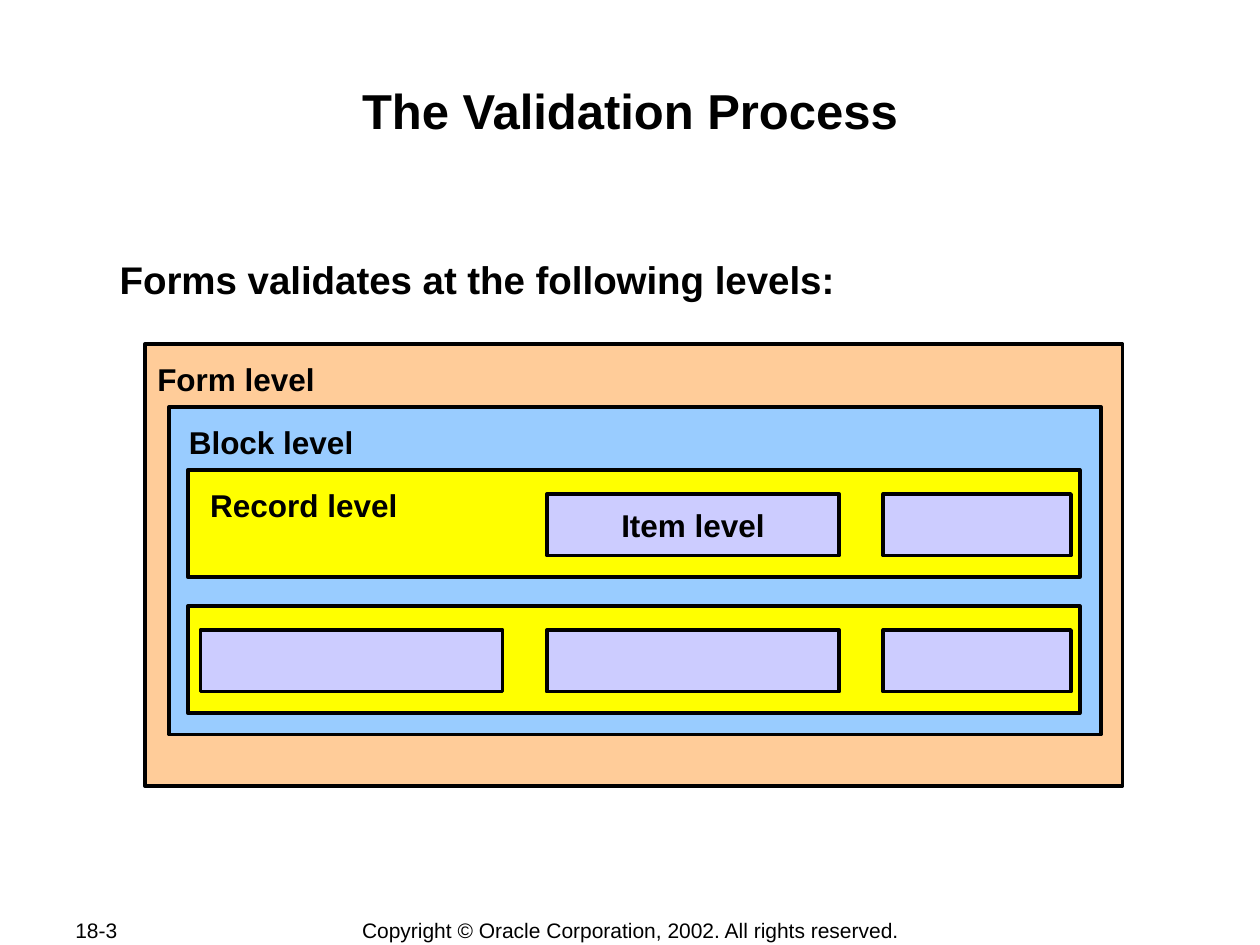
from pptx import Presentation
from pptx.dml.color import RGBColor
from pptx.enum.shapes import MSO_SHAPE as Shape
from pptx.enum.text import MSO_ANCHOR as Anchor, PP_ALIGN as Align
from pptx.util import Inches, Pt

BLACK = RGBColor(0x00, 0x00, 0x00)
WHITE = RGBColor(0xFF, 0xFF, 0xFF)
FORM_ORANGE = RGBColor(0xFF, 0xCC, 0x99)
BLOCK_BLUE = RGBColor(0x99, 0xCC, 0xFF)
RECORD_YELLOW = RGBColor(0xFF, 0xFF, 0x00)
ITEM_LILAC = RGBColor(0xCC, 0xCC, 0xFF)

RECORD_TOPS = (3.73, 4.81)
ITEM_COLUMNS = ((1.59, 2.4), (4.34, 2.32), (7.01, 1.49))  # left, width


def write(frame, text, size=18, bold=True, align=Align.LEFT, anchor=Anchor.TOP,
          wrap=False, insets=(0.1, 0.05, 0.1, 0.05)):
    frame.word_wrap = wrap
    frame.vertical_anchor = anchor
    (frame.margin_left, frame.margin_top,
     frame.margin_right, frame.margin_bottom) = map(Inches, insets)
    paragraph = frame.paragraphs[0]
    paragraph.alignment = align
    run = paragraph.add_run()
    run.text = text
    run.font.name = "Arial"
    run.font.size = Pt(size)
    run.font.bold = bold
    run.font.color.rgb = BLACK


def add_label(slide, text, left, top, width, height, **style):
    label = slide.shapes.add_textbox(*map(Inches, (left, top, width, height)))
    write(label.text_frame, text, **style)


def add_level(slide, fill, left, top, width, height):
    level = slide.shapes.add_shape(
        Shape.RECTANGLE, *map(Inches, (left, top, width, height)))
    level.shadow.inherit = False
    level.fill.solid()
    level.fill.fore_color.rgb = fill
    level.line.color.rgb = BLACK
    level.line.width = Pt(2)
    return level


def add_records(slide):
    for top in RECORD_TOPS:
        add_level(slide, RECORD_YELLOW, 1.49, top, 7.08, 0.85)
    add_label(slide, "Record level", 1.57, 3.81, 1.69, 0.4)

    # The record label takes the place of the first item
    for row, top in enumerate(RECORD_TOPS):
        for column, (left, width) in enumerate(ITEM_COLUMNS):
            if (row, column) == (0, 0):
                continue
            item = add_level(slide, ITEM_LILAC, left, top + 0.19, width, 0.49)
            if (row, column) == (0, 1):
                write(item.text_frame, "Item level", align=Align.CENTER,
                      anchor=Anchor.MIDDLE)


def main():
    deck = Presentation()
    deck.slide_width, deck.slide_height = Inches(10), Inches(7.5)
    slide = deck.slides.add_slide(deck.slide_layouts[6])
    slide.background.fill.solid()
    slide.background.fill.fore_color.rgb = WHITE

    # Footer
    footer = dict(size=12, bold=False, anchor=Anchor.MIDDLE)
    add_label(slide, "18-3", 0.5, 7.28, 1.06, 0.2, **footer)
    add_label(slide, "Copyright © Oracle Corporation, 2002. All rights reserved.",
              2.76, 7.28, 4.49, 0.21, align=Align.CENTER, **footer)

    # Title and lead-in
    add_label(slide, "The Validation Process", 1, 0.58, 8, 0.96, size=28,
              align=Align.CENTER, wrap=True, insets=(0.01, 0.06, 0.01, 0.01))
    add_label(slide, "Forms validates at the following levels:",
              0.94, 1.99, 8.06, 0.39, size=22, wrap=True,
              insets=(0.01, 0.04, 0.01, 0.01))

    # Nested levels, from outermost to innermost
    add_level(slide, FORM_ORANGE, 1.15, 2.73, 7.76, 3.51)
    add_label(slide, "Form level", 1.15, 2.81, 1.45, 0.4)
    add_level(slide, BLOCK_BLUE, 1.34, 3.23, 7.4, 2.6)
    add_label(slide, "Block level", 1.4, 3.31, 1.51, 0.4)
    add_records(slide)

    deck.save("out.pptx")


if __name__ == "__main__":
    main()
